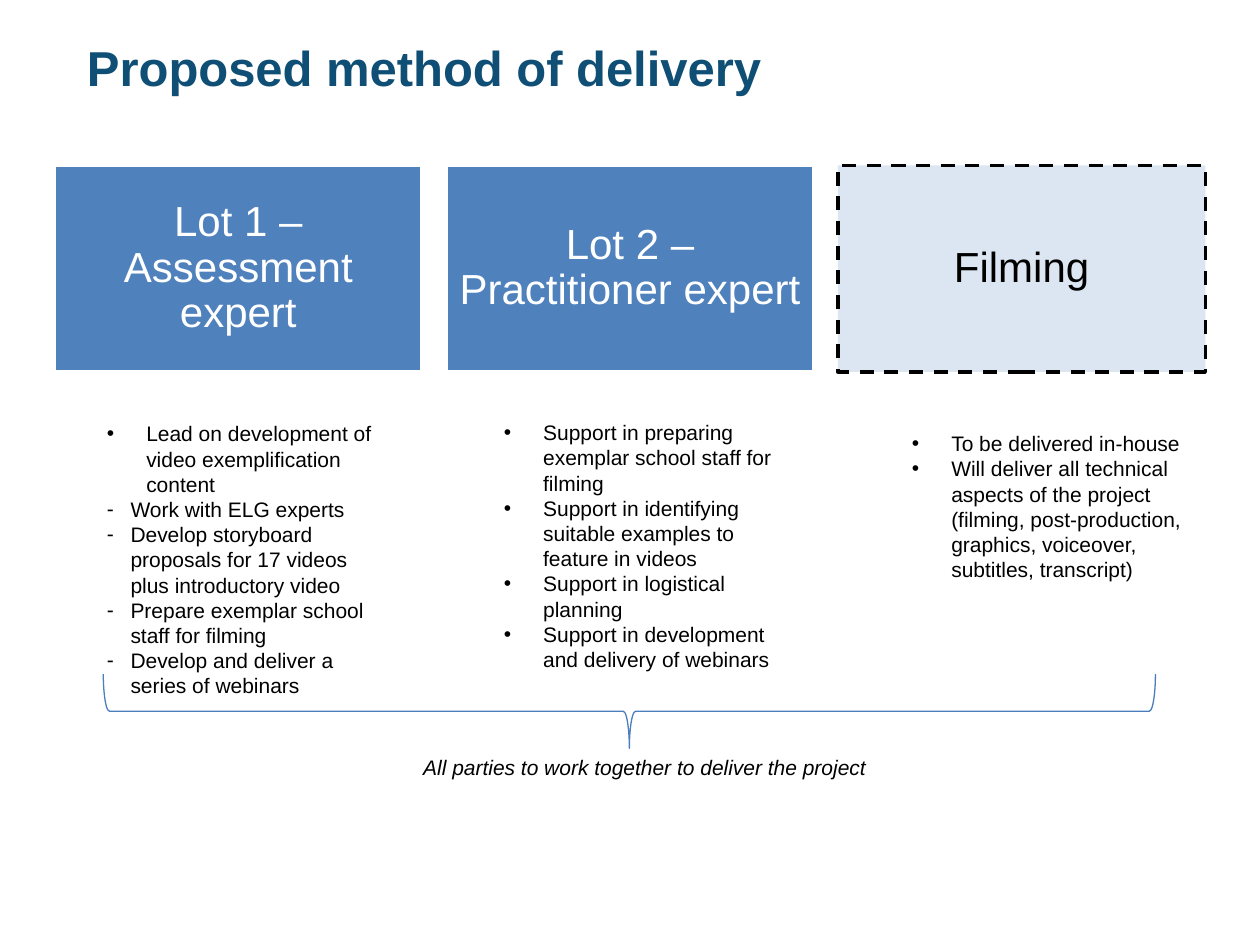
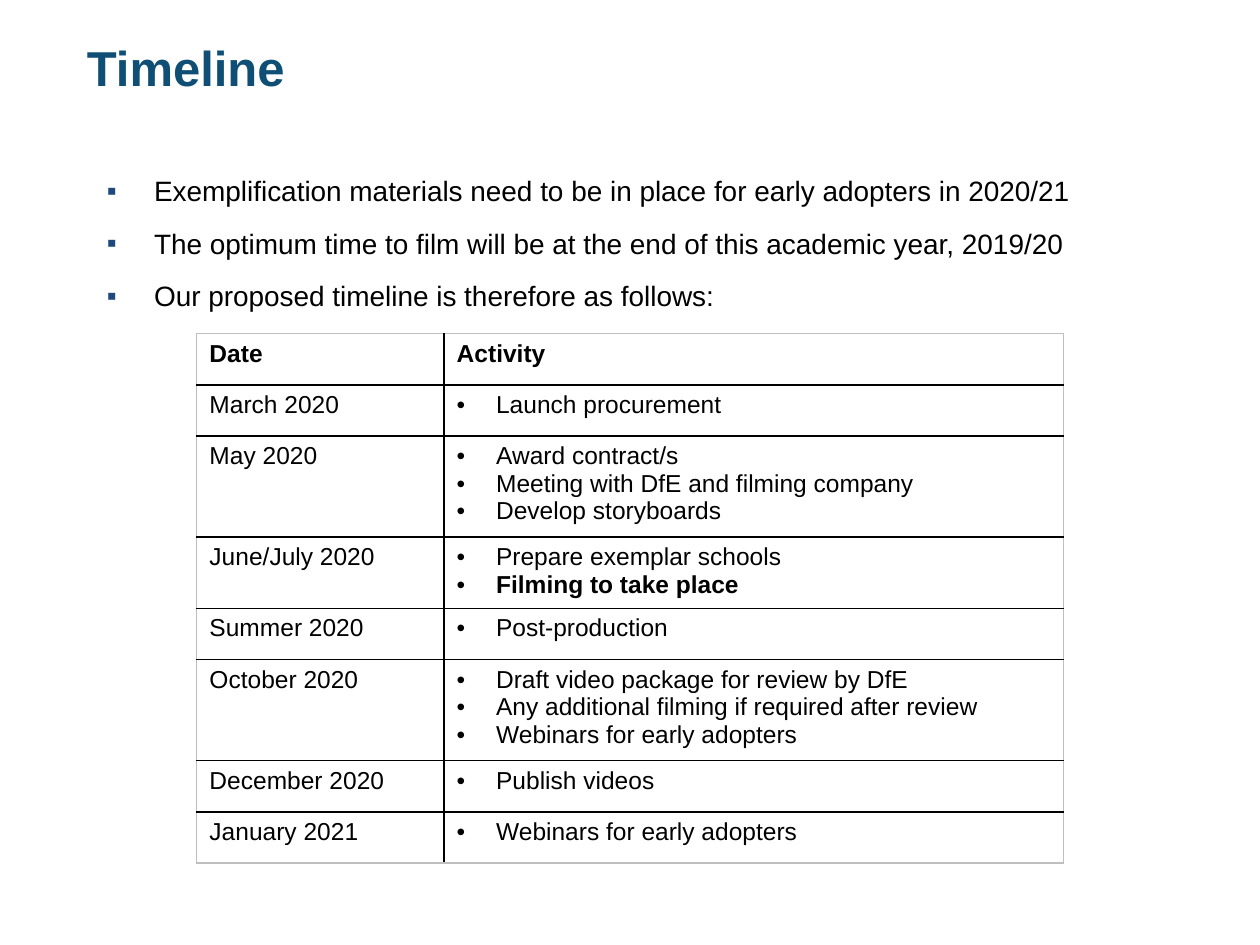
import dataclasses

import pptx
import pptx.dml.color
import pptx.enum.dml
import pptx.enum.shapes
import pptx.enum.text
import pptx.oxml
import pptx.oxml.ns
import pptx.util

Pt = pptx.util.Pt
ALIGN = pptx.enum.text.PP_ALIGN
ANCHOR = pptx.enum.text.MSO_ANCHOR


@dataclasses.dataclass(frozen=True)
class Theme:
    """Colours, font and type sizes shared by the slides."""
    font: str = "Arial"
    heading: str = "104F75"
    card: str = "4F81BD"
    card_pale: str = "DCE6F2"
    brace: str = "4B7EBC"
    marker: str = "1F497D"
    white: str = "FFFFFF"
    black: str = "000000"
    grey: str = "BFBFBF"
    title_size: float = 28
    card_size: float = 24
    body_size: float = 16
    table_size: float = 14
    note_size: float = 12


THEME = Theme()
BULLET_INDENT = 22.5
DASH_INDENT = 13.5
BODY_INDENT = 27

LOT_1_TASKS = [
    ("•", "Lead on development of video exemplification content"),
    ("-", "Work with ELG experts"),
    ("-", "Develop storyboard proposals for 17 videos plus introductory video"),
    ("-", "Prepare exemplar school staff for filming"),
    ("-", "Develop and deliver a series of webinars"),
]
LOT_2_TASKS = [
    ("•", "Support in preparing exemplar school staff for filming"),
    ("•", "Support in identifying suitable examples to feature in videos"),
    ("•", "Support in logistical planning"),
    ("•", "Support in development and delivery of webinars"),
]
FILMING_TASKS = [
    ("•", "To be delivered in-house"),
    ("•", "Will deliver all technical aspects of the project (filming, "
          "post-production, graphics, voiceover, subtitles, transcript)"),
]
TIMELINE_POINTS = [
    "Exemplification materials need to be in place for early adopters in 2020/21",
    "The optimum time to film will be at the end of this academic year, 2019/20",
    "Our proposed timeline is therefore as follows:",
]
KEY_ACTIVITY = "Filming to take place"
SCHEDULE = [
    ("March 2020", ["Launch procurement"]),
    ("May 2020", ["Award contract/s", "Meeting with DfE and filming company",
                  "Develop storyboards"]),
    ("June/July 2020", ["Prepare exemplar schools", KEY_ACTIVITY]),
    ("Summer 2020", ["Post-production"]),
    ("October 2020", ["Draft video package for review by DfE",
                      "Any additional filming if required after review",
                      "Webinars for early adopters"]),
    ("December 2020", ["Publish videos"]),
    ("January 2021", ["Webinars for early adopters"]),
]


def rgb(colour):
    """Return the colour object for a hex string."""
    return pptx.dml.color.RGBColor.from_string(colour)


def add_run(paragraph, text, size, colour=THEME.black, bold=False, italic=False):
    """Add one formatted run to a paragraph."""
    run = paragraph.add_run()
    run.text = text
    run.font.name = THEME.font
    run.font.size = Pt(size)
    run.font.bold = bold
    run.font.italic = italic
    run.font.color.rgb = rgb(colour)


def next_paragraph(frame, index):
    """Return the first paragraph for index 0 and a new one otherwise."""
    return frame.add_paragraph() if index else frame.paragraphs[0]


def set_bullet(paragraph, mark, indent, colour=None):
    """Give a paragraph a hanging bullet."""
    properties = paragraph._p.get_or_add_pPr()
    properties.set("marL", str(Pt(indent)))
    properties.set("indent", str(-Pt(indent)))
    namespace = pptx.oxml.ns.nsdecls("a")
    parts = [f'<a:buFont {namespace} typeface="{THEME.font}"/>',
             f'<a:buChar {namespace} char="{mark}"/>']
    if colour:
        parts.insert(0, f'<a:buClr {namespace}><a:srgbClr val="{colour}"/></a:buClr>')
    for part in parts:
        properties.append(pptx.oxml.parse_xml(part))


def add_titled_slide(deck, title):
    """Add a title-only slide and format its title."""
    slide = deck.slides.add_slide(deck.slide_layouts[5])
    heading = slide.shapes.title
    heading.left, heading.top = Pt(42.5), Pt(9.5)
    heading.width, heading.height = Pt(655), Pt(57)
    frame = heading.text_frame
    frame.auto_size = pptx.enum.text.MSO_AUTO_SIZE.NONE
    frame.vertical_anchor = ANCHOR.MIDDLE
    paragraph = frame.paragraphs[0]
    paragraph.alignment = ALIGN.LEFT
    add_run(paragraph, title, THEME.title_size, THEME.heading, bold=True)
    return slide


def add_text_frame(slide, left, top, width, height):
    """Add a wrapping text box and return its frame."""
    box = slide.shapes.add_textbox(Pt(left), Pt(top), Pt(width), Pt(height))
    box.text_frame.word_wrap = True
    return box.text_frame


def add_card(slide, left, label, fill, line, text_colour, dashed=False):
    """Add one of the large labelled boxes."""
    card = slide.shapes.add_shape(pptx.enum.shapes.MSO_SHAPE.RECTANGLE,
                                  Pt(left), Pt(94.5), Pt(210), Pt(118))
    card.shadow.inherit = False
    card.fill.solid()
    card.fill.fore_color.rgb = rgb(fill)
    card.line.color.rgb = rgb(line)
    card.line.width = Pt(2)
    if dashed:
        card.line.dash_style = pptx.enum.dml.MSO_LINE.DASH
    frame = card.text_frame
    frame.word_wrap = True
    frame.margin_left = frame.margin_right = Pt(6)
    frame.vertical_anchor = ANCHOR.MIDDLE
    paragraph = frame.paragraphs[0]
    paragraph.alignment = ALIGN.CENTER
    paragraph.line_spacing = 0.9
    add_run(paragraph, label, THEME.card_size, text_colour)


def add_tasks(slide, left, top, height, tasks):
    """Add the task list that belongs to a card."""
    frame = add_text_frame(slide, left, top, 170, height)
    for index, (mark, task) in enumerate(tasks):
        paragraph = next_paragraph(frame, index)
        set_bullet(paragraph, mark, DASH_INDENT if mark == "-" else BULLET_INDENT)
        add_run(paragraph, task, THEME.note_size)


def add_brace(slide):
    """Add the brace that joins the three columns."""
    brace = slide.shapes.add_shape(pptx.enum.shapes.MSO_SHAPE.LEFT_BRACE,
                                   Pt(338.4), Pt(105.8), Pt(42.5), Pt(601.2))
    brace.rotation = 270
    brace.shadow.inherit = False
    brace.fill.background()
    brace.line.color.rgb = rgb(THEME.brace)
    brace.line.width = Pt(0.75)


def set_borders(cell, edges):
    """Draw the cell edges, given as (tag, colour, width)."""
    properties = cell._tc.get_or_add_tcPr()
    for position, (tag, colour, width) in enumerate(edges):
        properties.insert(position, pptx.oxml.parse_xml(
            f'<a:{tag} {pptx.oxml.ns.nsdecls("a")} w="{Pt(width)}"><a:solidFill>'
            f'<a:srgbClr val="{colour}"/></a:solidFill></a:{tag}>'))


def add_schedule(slide):
    """Add the table of dates and activities."""
    last_row = len(SCHEDULE)
    frame = slide.shapes.add_table(last_row + 1, 2, Pt(112.5), Pt(190.6),
                                   Pt(495.3), Pt(293.7))
    table = frame.table
    table.first_row = table.horz_banding = False
    table.columns[0].width, table.columns[1].width = Pt(141.3), Pt(354)
    inner, outer = (THEME.black, 1), (THEME.grey, 0.75)
    for row, (date, activities) in enumerate([("Date", ["Activity"])] + SCHEDULE):
        table.rows[row].height = Pt(max(29.3, 15.7 * len(activities) + 7.2))
        header = row == 0
        for column, lines in enumerate([[date], activities]):
            cell = table.cell(row, column)
            cell.fill.background()
            set_borders(cell, [
                ("lnL", *(inner if column else outer)),
                ("lnR", *(outer if column else inner)),
                ("lnT", *(outer if header else inner)),
                ("lnB", *(outer if row == last_row else inner)),
            ])
            for index, line in enumerate(lines):
                paragraph = next_paragraph(cell.text_frame, index)
                if column and not header:
                    set_bullet(paragraph, "•", BULLET_INDENT)
                add_run(paragraph, line, THEME.table_size,
                        bold=header or line == KEY_ACTIVITY)


def build_delivery(deck):
    """Build the slide on the method of delivery."""
    slide = add_titled_slide(deck, "Proposed method of delivery")
    cards = [
        ("Lot 1 – Assessment expert", THEME.card, THEME.white, THEME.white),
        ("Lot 2 – Practitioner expert", THEME.card, THEME.white, THEME.white),
        ("Filming", THEME.card_pale, THEME.black, THEME.black, True),
    ]
    for index, card in enumerate(cards):
        add_card(slide, 31.2 + 223.8 * index, *card)
    add_tasks(slide, 54, 237, 167, LOT_1_TASKS)
    add_tasks(slide, 280.8, 236.3, 153, LOT_2_TASKS)
    add_tasks(slide, 514, 242.6, 94, FILMING_TASKS)
    add_brace(slide)
    closing = add_text_frame(slide, 234.7, 427.7, 425.5, 22)
    add_run(closing.paragraphs[0], "All parties to work together to deliver the project",
            THEME.note_size, italic=True)


def build_timeline(deck):
    """Build the slide on the timeline."""
    slide = add_titled_slide(deck, "Timeline")
    frame = add_text_frame(slide, 54, 92, 612, 95)
    for index, point in enumerate(TIMELINE_POINTS):
        paragraph = next_paragraph(frame, index)
        set_bullet(paragraph, "▪", BODY_INDENT, THEME.marker)
        paragraph.line_spacing = 1.2
        paragraph.space_after = Pt(7)
        add_run(paragraph, point, THEME.body_size)
    add_schedule(slide)


def main():
    """Build and save the deck."""
    deck = pptx.Presentation()
    deck.slide_width, deck.slide_height = Pt(720), Pt(540)
    build_delivery(deck)
    build_timeline(deck)
    deck.save("out.pptx")


if __name__ == "__main__":
    main()
